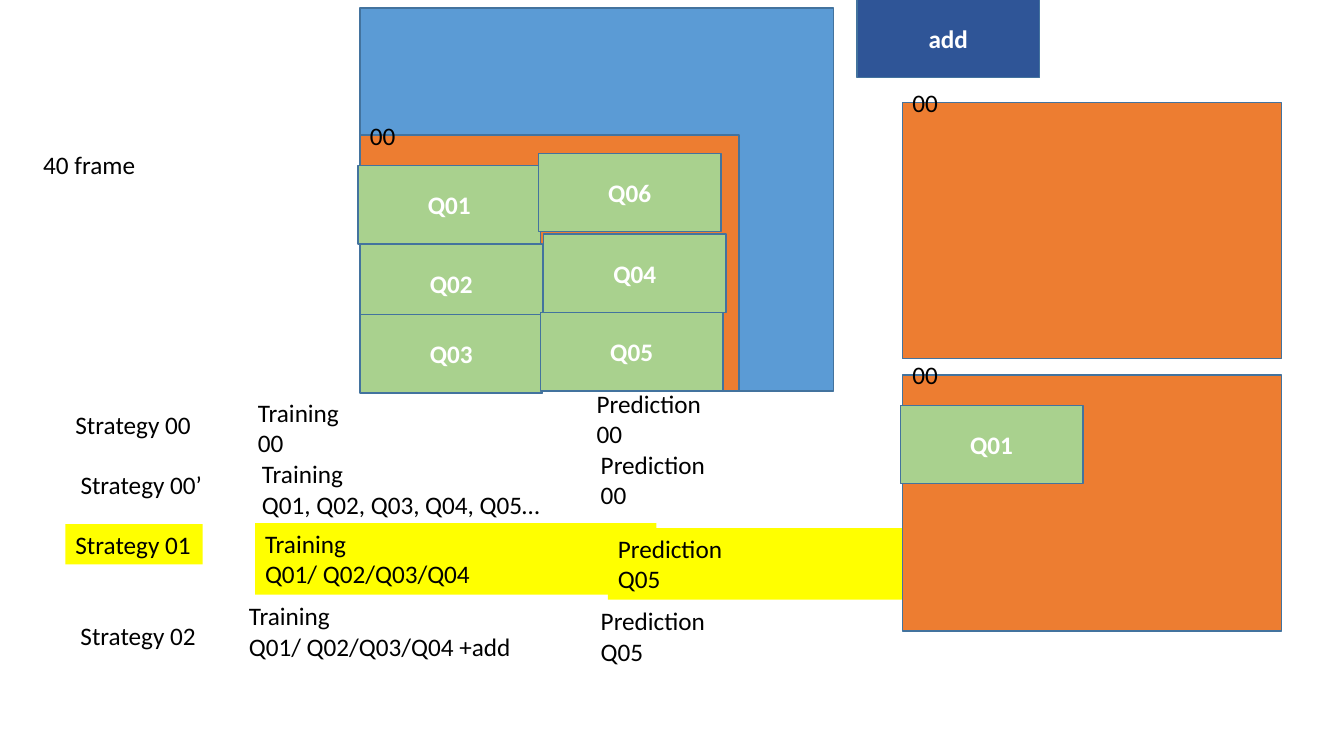
from pptx import Presentation
from pptx.dml.color import RGBColor
from pptx.enum.shapes import MSO_SHAPE
from pptx.enum.text import MSO_ANCHOR, MSO_AUTO_SIZE, PP_ALIGN
from pptx.util import Inches, Pt

BLUE, NAVY, ORANGE, GREEN = "5B9BD5", "2F5597", "ED7D31", "A9D18E"
OUTLINE, YELLOW, BLACK, WHITE = "43739E", "FFFF00", "000000", "FFFFFF"


def color(value):
    return RGBColor.from_string(value)


class FrameSlide:
    font_name = "Calibri"
    font_size = Pt(18)
    frame_size = (3.76, 2.54)
    block_size = (1.81, 0.78)

    def __init__(self, slide):
        self.slide = slide

    def add_run(self, paragraph, text, text_color, bold=False):
        run = paragraph.add_run()
        run.text = text
        run.font.name = self.font_name
        run.font.size = self.font_size
        run.font.bold = bold
        run.font.color.rgb = color(text_color)

    def rectangle(self, left, top, width, height, fill):
        shape = self.slide.shapes.add_shape(
            MSO_SHAPE.RECTANGLE, Inches(left), Inches(top), Inches(width), Inches(height))
        shape.shadow.inherit = False
        shape.fill.solid()
        shape.fill.fore_color.rgb = color(fill)
        shape.line.color.rgb = color(OUTLINE)
        shape.line.width = Pt(1)
        return shape

    def block(self, name, left, top, fill=GREEN):
        shape = self.rectangle(left, top, *self.block_size, fill)
        shape.text_frame.vertical_anchor = MSO_ANCHOR.MIDDLE
        paragraph = shape.text_frame.paragraphs[0]
        paragraph.alignment = PP_ALIGN.CENTER
        self.add_run(paragraph, name, WHITE, bold=True)

    def text(self, lines, left, top, width, height=0.4, wrap=False, highlight=None):
        box = self.slide.shapes.add_textbox(
            Inches(left), Inches(top), Inches(width), Inches(height))
        if highlight:
            box.fill.solid()
            box.fill.fore_color.rgb = color(highlight)
        frame = box.text_frame
        frame.word_wrap = wrap
        frame.auto_size = MSO_AUTO_SIZE.SHAPE_TO_FIT_TEXT
        for index, line in enumerate(lines):
            paragraph = frame.add_paragraph() if index else frame.paragraphs[0]
            self.add_run(paragraph, line, BLACK)

    def step(self, heading, detail, left, top, highlight=None):
        self.text([heading, detail], left, top, 3.98, 0.71, True, highlight)

    def frame(self, left, top, blocks=()):
        self.rectangle(left, top, *self.frame_size, ORANGE)
        self.text(["00"], left, top - 0.2, 0.46)
        for name, block_left, block_top in blocks:
            self.block(name, block_left, block_top)


def main():
    presentation = Presentation()
    presentation.slide_width = Inches(13.33)
    presentation.slide_height = Inches(7.5)
    slide = FrameSlide(presentation.slides.add_slide(presentation.slide_layouts[6]))

    slide.rectangle(3.57, 0.08, 4.7, 3.8, BLUE)
    slide.frame(3.57, 1.34, [
        ("Q02", 3.57, 2.42), ("Q03", 3.57, 3.12), ("Q05", 5.36, 3.1),
        ("Q04", 5.39, 2.32), ("Q01", 3.55, 1.64), ("Q06", 5.34, 1.52)])
    slide.block("add", 8.5, -0.01, NAVY)
    slide.text(["40 frame"], 0.33, 1.43, 1.12)

    strategies = [
        ("Strategy 00", 0.65, 4.01, 1.36, "00", 2.46, 3.89, "00", 5.82, 3.8, None),
        ("Strategy 00’", 0.7, 4.61, 1.41, "Q01, Q02, Q03, Q04, Q05…", 2.5, 4.5,
         "00", 5.86, 4.41, None),
        ("Strategy 01", 0.65, 5.2, 1.36, "Q01/ Q02/Q03/Q04", 2.53, 5.19,
         "Q05", 6.03, 5.24, YELLOW),
        ("Strategy 02", 0.7, 6.11, 1.36, "Q01/ Q02/Q03/Q04 +add", 2.37, 5.91,
         "Q05", 5.86, 5.96, None),
    ]
    for (name, left, top, width, training, training_left, training_top,
         prediction, prediction_left, prediction_top, highlight) in strategies:
        slide.text([name], left, top, width, highlight=highlight)
        slide.step("Training", training, training_left, training_top, highlight)
        slide.step("Prediction", prediction, prediction_left, prediction_top, highlight)

    slide.frame(8.95, 1.02)
    slide.frame(8.95, 3.72, [("Q01", 8.93, 4.02)])

    presentation.save("out.pptx")


if __name__ == "__main__":
    main()
